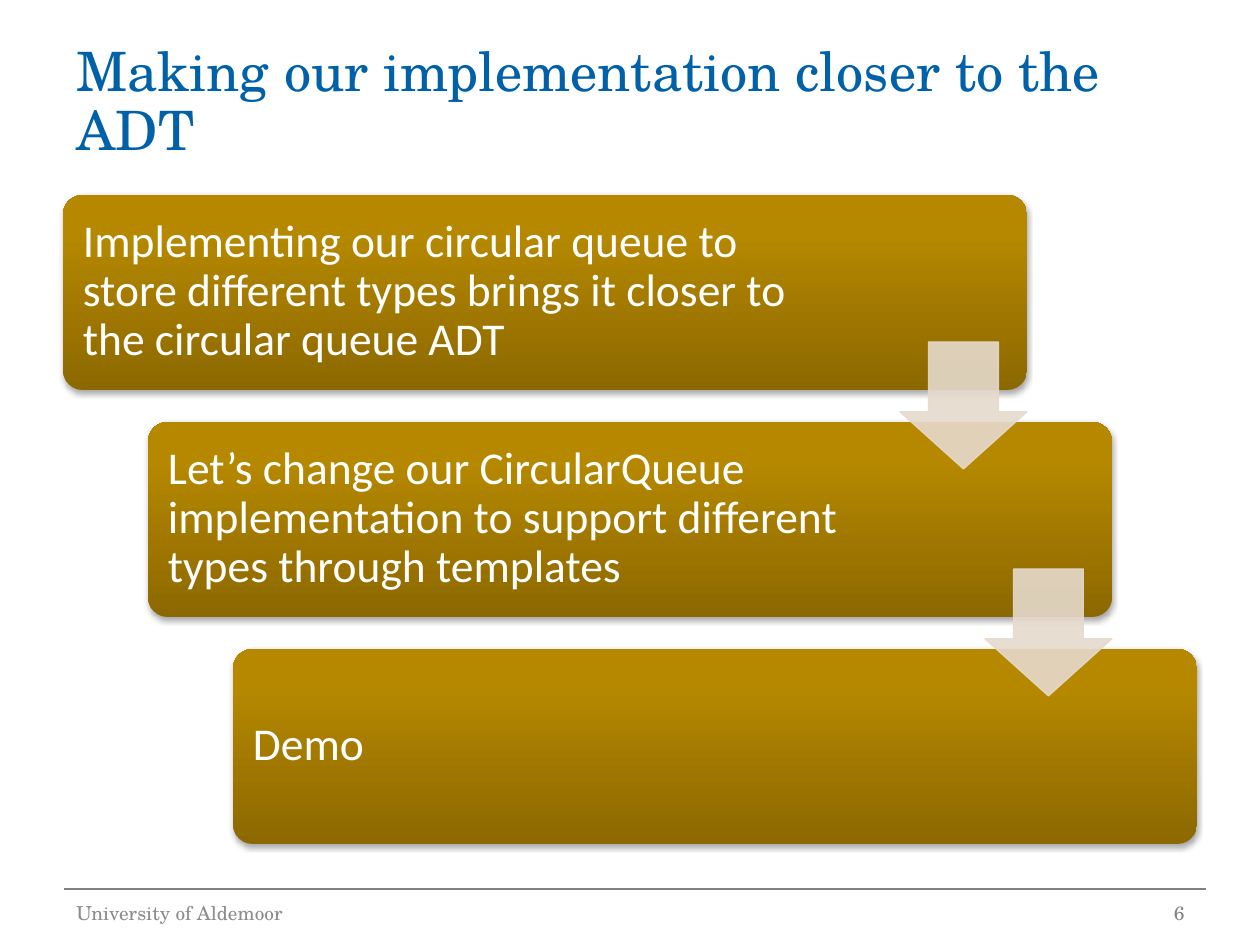
from lxml import etree
from pptx import Presentation
from pptx.dml.color import RGBColor
from pptx.enum.shapes import MSO_CONNECTOR, MSO_SHAPE
from pptx.enum.text import MSO_ANCHOR, PP_ALIGN
from pptx.oxml.ns import qn
from pptx.util import Emu, Pt

LINE = MSO_CONNECTOR.STRAIGHT
ROUND_RECT, DOWN_ARROW = MSO_SHAPE.ROUNDED_RECTANGLE, MSO_SHAPE.DOWN_ARROW
MIDDLE = MSO_ANCHOR.MIDDLE
LEFT, RIGHT = PP_ALIGN.LEFT, PP_ALIGN.RIGHT

BLUE = RGBColor(0x00, 0x60, 0xA8)
GRAY = RGBColor(0x80, 0x82, 0x85)
LIGHT_GRAY = RGBColor(0x8C, 0x8C, 0x8C)
WHITE = RGBColor(0xFF, 0xFF, 0xFF)
BLACK = RGBColor(0x00, 0x00, 0x00)
SAND = RGBColor(0xE5, 0xDA, 0xCC)
GOLD_STOPS = [
    (0, RGBColor(0x8C, 0x68, 0x00)),
    (80, RGBColor(0xB5, 0x88, 0x00)),
    (100, RGBColor(0xB6, 0x88, 0x00)),
]

SERIF, SANS = "TeX Gyre Schola", "Calibri"
PX_PER_INCH = 126

# Text, and width of its text area
STEPS = [
    ("Implementing our circular queue to store different types brings it "
     "closer to the circular queue ADT", 753),
    ("Let’s change our CircularQueue implementation to support different "
     "types through templates", 741),
    ("Demo", 741),
]


def px(n):
    return Emu(round(n * 914400 / PX_PER_INCH))


def add_text(slide, box, text, size, font, color, align=LEFT,
             spacing=None, after=0, inset=None):
    tf = slide.shapes.add_textbox(*map(px, box)).text_frame
    tf.word_wrap = True
    tf.vertical_anchor = MIDDLE
    if inset is not None:
        tf.margin_left = tf.margin_right = px(inset)
        tf.margin_top = tf.margin_bottom = px(inset)
    p = tf.paragraphs[0]
    p.alignment = align
    p.space_after = Pt(after)
    if spacing:
        p.line_spacing = spacing
    r = p.add_run()
    r.text = text
    r.font.size = Pt(size)
    r.font.name = font
    r.font.color.rgb = color


def add_color(parent, color, alpha=100):
    clr = etree.SubElement(parent, qn("a:srgbClr"), val=str(color))
    if alpha < 100:
        etree.SubElement(clr, qn("a:alpha"), val=str(alpha * 1000))


def set_gradient(sp, stops, angle):
    sp.fill.gradient()
    grad = sp._element.spPr.find(qn("a:gradFill"))
    for child in list(grad):
        grad.remove(child)
    gs_list = etree.SubElement(grad, qn("a:gsLst"))
    for pos, color in stops:
        add_color(etree.SubElement(gs_list, qn("a:gs"), pos=str(pos * 1000)), color)
    etree.SubElement(grad, qn("a:lin"), ang=str(angle * 60000), scaled="0")


def set_shadow(sp):
    sp.shadow.inherit = False
    effects = sp._element.spPr.find(qn("a:effectLst"))
    shadow = etree.SubElement(effects, qn("a:outerShdw"), blurRad="40000",
                              dist="23000", dir="5400000", rotWithShape="0")
    add_color(shadow, BLACK, 35)


def add_card(slide, box, text, text_w):
    x, y, w, h = box
    sp = slide.shapes.add_shape(ROUND_RECT, *map(px, box))
    sp.adjustments[0] = 0.1
    set_gradient(sp, GOLD_STOPS, 270)
    sp.line.fill.background()
    set_shadow(sp)
    add_text(slide, (x + 6, y + 5, text_w, h - 11), text, 26, SANS, WHITE,
             spacing=0.9, inset=14)


def add_arrow(slide, box):
    sp = slide.shapes.add_shape(DOWN_ARROW, *map(px, box))
    sp.adjustments[0], sp.adjustments[1] = 0.55, 0.45
    sp.shadow.inherit = False
    sp.fill.solid()
    sp.fill.fore_color.rgb = SAND
    sp.line.color.rgb = SAND
    sp.line.width = Pt(0.75)
    for clr in sp._element.spPr.iter(qn("a:srgbClr")):
        etree.SubElement(clr, qn("a:alpha"), val="90000")


def add_staircase(slide, box):
    """Cards step down to the right; an arrow bridges each pair."""
    x, y, w, h = box
    card_w, card_h, arrow = 964, 195, 127
    gaps = len(STEPS) - 1
    dx, dy = (w - card_w) // gaps, (h - card_h) // gaps
    for i, (text, text_w) in enumerate(STEPS):
        add_card(slide, (x + i * dx, y + i * dy, card_w, card_h), text, text_w)
    for i in range(gaps):
        add_arrow(slide, (x + i * dx + card_w - arrow, y + i * dy + 147,
                          arrow, arrow))


def add_footer(slide, box):
    x, y, w, h = box
    rule = slide.shapes.add_connector(LINE, px(x), px(y), px(x + w), px(y))
    rule.line.color.rgb = GRAY
    rule.line.width = Pt(0.75)
    etree.SubElement(rule._element.spPr, qn("a:effectLst"))
    add_text(slide, (x, y - 1, 399, h), "University of Aldemoor", 11, SERIF,
             LIGHT_GRAY, after=6)
    add_text(slide, (x + w - 303, y - 1, 294, h), "6", 11, SERIF, GRAY,
             align=RIGHT, after=6)


def main():
    prs = Presentation()
    prs.slide_width, prs.slide_height = px(1260), px(945)
    slide = prs.slides.add_slide(prs.slide_layouts[6])

    # Title
    add_text(slide, (64, 45, 1134, 117),
             "Making our implementation closer to the ADT", 31, SERIF, BLUE,
             spacing=0.9)
    # Steps
    add_staircase(slide, (63, 195, 1134, 649))
    # Footer
    add_footer(slide, (64, 889, 1142, 50))

    prs.save("out.pptx")


if __name__ == "__main__":
    main()
